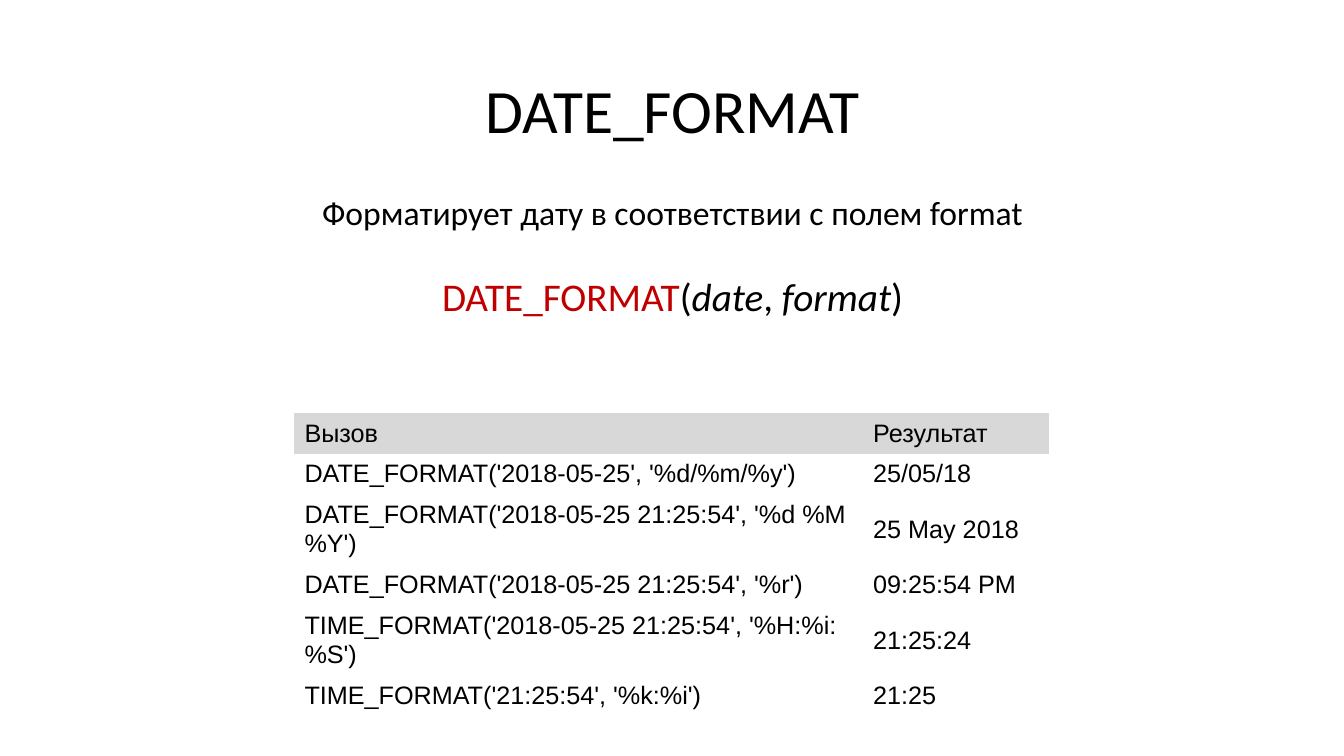
from pptx import Presentation
from pptx.dml.color import RGBColor
from pptx.enum import text as t
from pptx.util import Inches, Pt

theme = {
    "black": RGBColor.from_string("000000"),
    "red": RGBColor.from_string("C00000"),
    "grey": RGBColor.from_string("D8D8D8"),
    "head": "Calibri", "body": "Arial",
    "title": 44, "lead": 24, "syntax": 28, "cell": 18,
}
PLAIN = "{2D5ABB26-0587-4C30-8999-92F81FD0307C}"  # no style, no grid

deck = Presentation()
deck.slide_width, deck.slide_height = Inches(13.33), Inches(7.5)
slide = deck.slides.add_slide(deck.slide_layouts[6])


def style(run, face, size, color="black", italic=False):
    font = run.font
    font.name, font.size = theme[face], Pt(theme[size])
    font.color.rgb = theme[color]
    font.italic, font.bold = italic, False


def add_text(left, top, width, height, size, parts):
    box = slide.shapes.add_textbox(*map(Inches, (left, top, width, height)))
    frame = box.text_frame
    frame.word_wrap = True
    para = frame.paragraphs[0]
    para.alignment = t.PP_ALIGN.CENTER
    for words, color, italic in parts:
        run = para.add_run()
        run.text = words
        style(run, "head", size, color, italic)
    return frame


# Title
title = add_text(0.92, 0.4, 11.5, 1.45, "title", [("DATE_FORMAT", "black", False)])
title.vertical_anchor = t.MSO_ANCHOR.MIDDLE
title.paragraphs[0].line_spacing = 0.9

# Purpose and syntax
add_text(0.92, 1.85, 11.5, 0.5, "lead",
         [("Форматирует дату в соответствии с полем format", "black", False)])
add_text(4.17, 2.65, 5, 0.57, "syntax", [
    ("DATE_FORMAT", "red", False), ("(", "black", False),
    ("date", "black", True), (", ", "black", False),
    ("format", "black", True), (")", "black", False),
])

# Table of calls and results
calls = [
    ("Вызов", "Результат"),
    ("DATE_FORMAT('2018-05-25', '%d/%m/%y')", "25/05/18"),
    ("DATE_FORMAT('2018-05-25 21:25:54', '%d %M %Y')", "25 May 2018"),
    ("DATE_FORMAT('2018-05-25 21:25:54', '%r')", "09:25:54 PM"),
    ("TIME_FORMAT('2018-05-25 21:25:54', '%H:%i:%S')", "21:25:24"),
    ("TIME_FORMAT('21:25:54', '%k:%i')", "21:25"),
]
widths = (5.64, 1.84)
row_high = 0.25  # rows grow to fit their text
table = slide.shapes.add_table(
    len(calls), len(widths), Inches(2.92), Inches(4.1),
    Inches(sum(widths)), Inches(row_high * len(calls))).table
table._tbl.tblPr.find("{*}tableStyleId").text = PLAIN
table.horz_banding = False
for col, width in zip(table.columns, widths):
    col.width = Inches(width)

for r, row in enumerate(calls):
    for c, words in enumerate(row):
        cell = table.cell(r, c)
        cell.text_frame.text = words
        cell.vertical_anchor = t.MSO_ANCHOR.MIDDLE
        style(cell.text_frame.paragraphs[0].runs[0], "body", "cell")
        if r == 0:
            cell.fill.solid()
            cell.fill.fore_color.rgb = theme["grey"]
        else:
            cell.fill.background()

deck.save("out.pptx")
